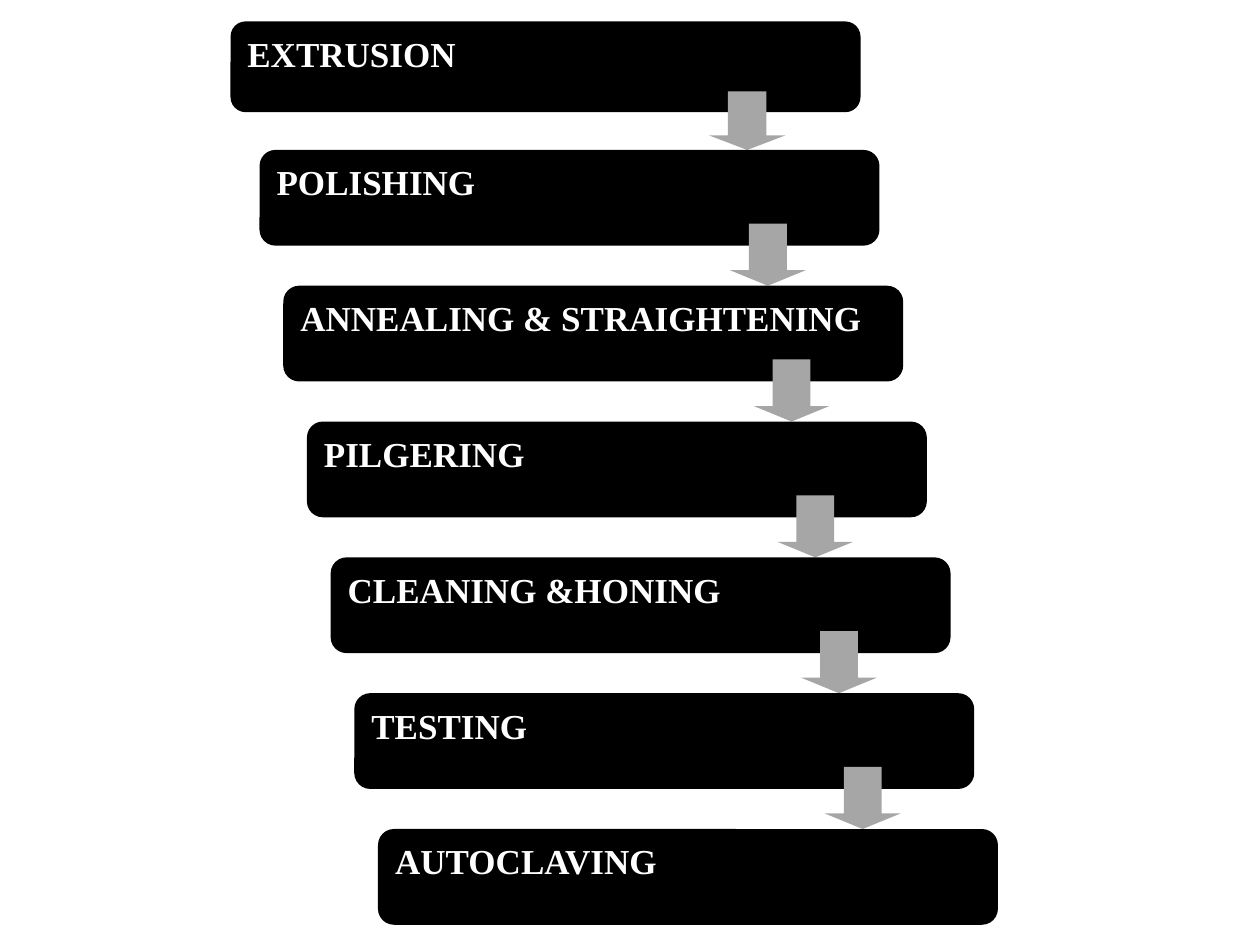
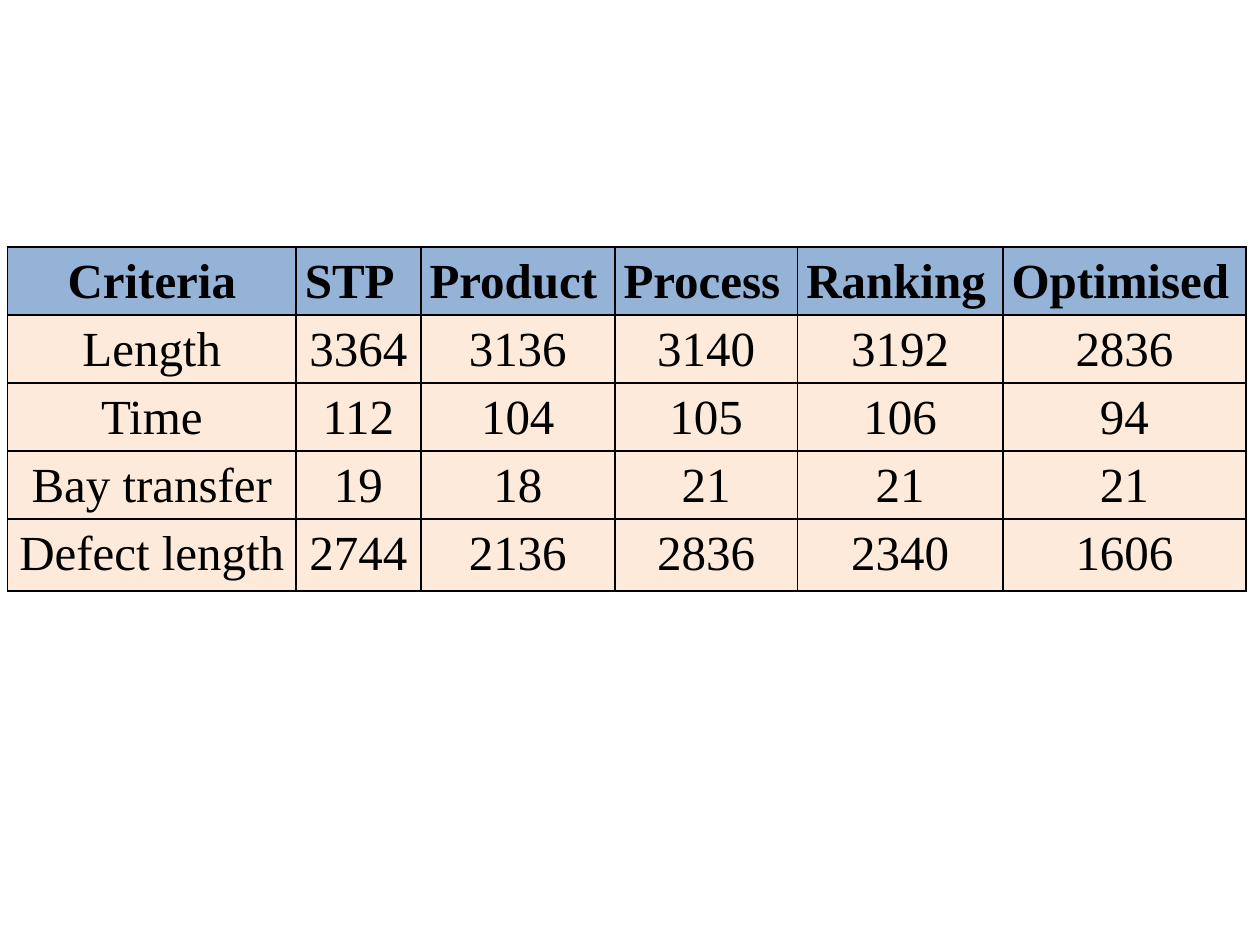
from lxml.etree import SubElement
from pptx import Presentation
from pptx.dml.color import RGBColor
from pptx.enum.shapes import MSO_SHAPE
from pptx.enum.text import MSO_ANCHOR, PP_ALIGN
from pptx.oxml.ns import qn
from pptx.util import Inches, Pt

FONT = "Times New Roman"
BLACK, WHITE, GREY = "000000", "FFFFFF", "A6A6A6"
HEADER_BLUE, BODY_PEACH = "95B3D7", "FDEADA"

STAGES = ["EXTRUSION", "POLISHING", "ANNEALING & STRAIGHTENING", "PILGERING",
          "CLEANING &HONING", "TESTING", "AUTOCLAVING"]
FIRST_STAGE = (1.83, 0.17, 5, 0.72)
SECOND_STAGE = (2.06, 1.19, 4.92, 0.76)
LAST_STAGE_LEFT, LAST_STAGE_TOP = 3, 6.58

LAYOUT_COMPARISON = [
    ["Criteria", "STP", "Product", "Process", "Ranking", "Optimised"],
    ["Length", "3364", "3136", "3140", "3192", "2836"],
    ["Time", "112", "104", "105", "106", "94"],
    ["Bay transfer", "19", "18", "21", "21", "21"],
    ["Defect length", "2744", "2136", "2836", "2340", "1606"],
]
COLUMN_WIDTHS = [2.29, 0.99, 1.54, 1.45, 1.63, 1.93]
ROW_HEIGHTS = [0.54, 0.54, 0.54, 0.54, 0.57]


def paint(fill, color):
    fill.solid()
    fill.fore_color.rgb = RGBColor.from_string(color)


def write(frame, text, size, color=BLACK, bold=False, align=PP_ALIGN.LEFT,
          line_spacing=None, space_after=0):
    paragraph = frame.paragraphs[0]
    paragraph.alignment = align
    paragraph.line_spacing = line_spacing
    paragraph.space_after = Pt(space_after)
    run = paragraph.add_run()
    run.text = text
    run.font.name = FONT
    run.font.size = Pt(size)
    run.font.bold = bold
    run.font.color.rgb = RGBColor.from_string(color)


def add_block(shapes, preset, box, color):
    block = shapes.add_shape(preset, *map(Inches, box))
    block.shadow.inherit = False
    paint(block.fill, color)
    block.line.fill.background()
    return block


def add_stage(shapes, name, box):
    stage = add_block(shapes, MSO_SHAPE.FLOWCHART_ALTERNATE_PROCESS, box, BLACK)
    stage.text_frame.word_wrap = True
    stage.text_frame.vertical_anchor = MSO_ANCHOR.TOP
    write(stage.text_frame, name, 20, color=WHITE, bold=True, space_after=10)


def add_step_arrow(shapes, box, next_top):
    """Arrow from inside one stage down to the top edge of the next."""
    left, top, width, height = box
    arrow_width = 0.122 * width
    arrow_left = left + 0.82 * width - arrow_width / 2
    arrow_top = top + 0.77 * height
    arrow = add_block(shapes, MSO_SHAPE.DOWN_ARROW,
                      (arrow_left, arrow_top, arrow_width, next_top - arrow_top), GREY)
    arrow.adjustments[0], arrow.adjustments[1] = 0.5, 0.25


def stage_boxes():
    """The first stage stands apart; the others descend in equal steps."""
    left, top, width, height = SECOND_STAGE
    steps = len(STAGES) - 2
    right_step = (LAST_STAGE_LEFT - left) / steps
    down_step = (LAST_STAGE_TOP - top) / steps
    return [FIRST_STAGE] + [(left + i * right_step, top + i * down_step, width, height)
                            for i in range(steps + 1)]


def add_process_flow(slide):
    shapes = slide.shapes.add_group_shape().shapes
    boxes = stage_boxes()
    for i, (name, box) in enumerate(zip(STAGES, boxes)):
        add_stage(shapes, name, box)
        if i + 1 < len(boxes):
            add_step_arrow(shapes, box, boxes[i + 1][1])


def outline_cell(cell, color, width):
    properties = cell._tc.get_or_add_tcPr()
    for position, side in enumerate(("lnL", "lnR", "lnT", "lnB")):
        border = SubElement(properties, qn(f"a:{side}"), w=str(Pt(width)))
        fill = SubElement(border, qn("a:solidFill"))
        SubElement(fill, qn("a:srgbClr"), val=color)
        properties.insert(position, border)


def add_comparison_table(slide, left, top):
    table = slide.shapes.add_table(
        len(ROW_HEIGHTS), len(COLUMN_WIDTHS), Inches(left), Inches(top),
        Inches(sum(COLUMN_WIDTHS)), Inches(sum(ROW_HEIGHTS))).table
    for column, width in zip(table.columns, COLUMN_WIDTHS):
        column.width = Inches(width)
    for row, height in zip(table.rows, ROW_HEIGHTS):
        row.height = Inches(height)
    for r, entries in enumerate(LAYOUT_COMPARISON):
        for c, entry in enumerate(entries):
            cell = table.cell(r, c)
            is_header = r == 0
            cell.margin_left = cell.margin_right = Inches(0.07)
            cell.margin_top = cell.margin_bottom = 0
            paint(cell.fill, HEADER_BLUE if is_header else BODY_PEACH)
            outline_cell(cell, BLACK, 1)
            write(cell.text_frame, entry, 28, bold=is_header, line_spacing=1.15,
                  align=PP_ALIGN.JUSTIFY if is_header and c else PP_ALIGN.CENTER)


def main():
    deck = Presentation()
    deck.slide_width, deck.slide_height = Inches(10), Inches(7.5)
    blank = deck.slide_layouts[6]
    add_process_flow(deck.slides.add_slide(blank))
    add_comparison_table(deck.slides.add_slide(blank), left=0.06, top=1.96)
    deck.save("out.pptx")


if __name__ == "__main__":
    main()
